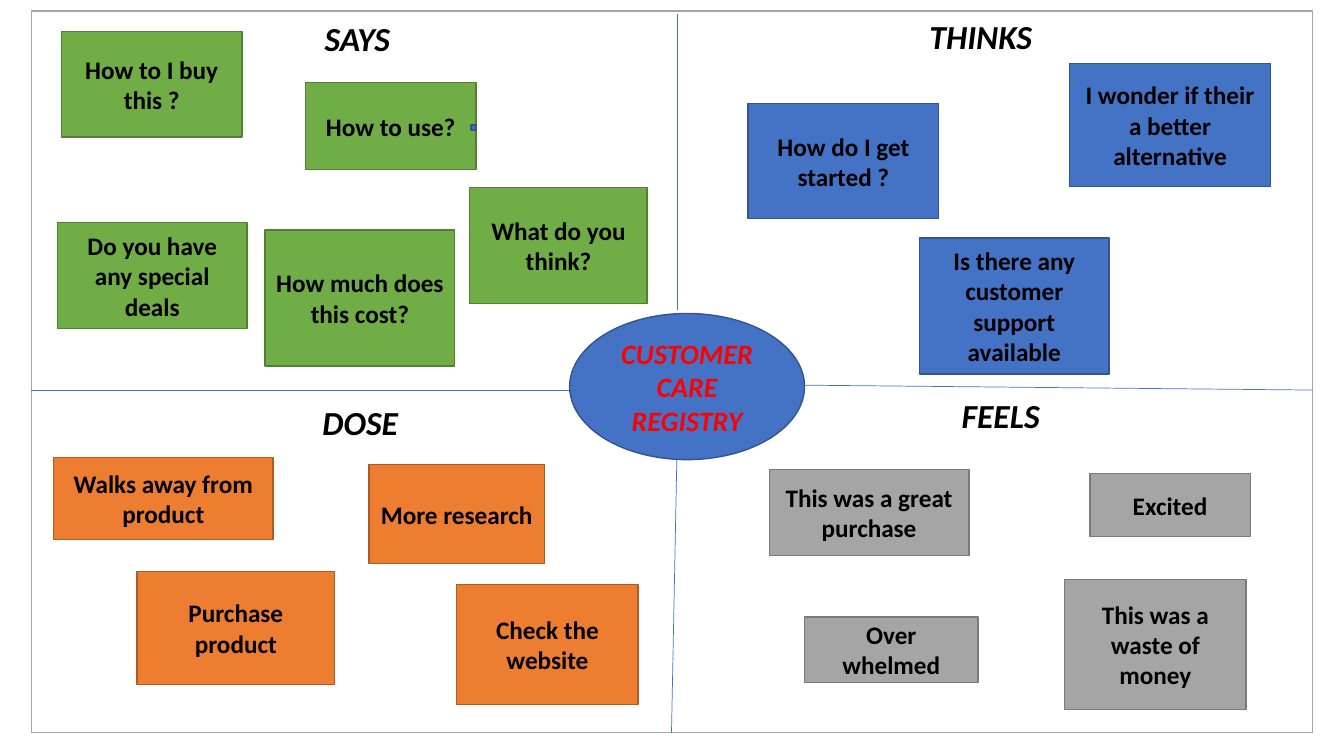
from dataclasses import dataclass

from lxml.etree import SubElement
from pptx import Presentation
from pptx.dml.color import RGBColor
from pptx.enum.shapes import MSO_CONNECTOR as Connector, MSO_SHAPE as Preset
from pptx.enum.text import MSO_ANCHOR as Anchor, MSO_AUTO_SIZE as AutoSize, PP_ALIGN as Align
from pptx.oxml.ns import qn
from pptx.shapes.autoshape import Shape
from pptx.util import Emu, Inches, Pt

COLUMNS, ROWS = 133.3, 75
CELL = Inches(0.1)
FONT = "Calibri"
COLORS = {
    "white": "FFFFFF", "black": "000000", "red": "FF0000",
    "green": "70AD47", "green edge": "538035",
    "blue": "4472C4", "blue edge": "325491",
    "orange": "ED7D31", "orange edge": "AF5C24",
    "gray": "A5A5A5", "gray edge": "7A7A7A",
}


@dataclass(frozen=True)
class Area:
    """A region of the slide in grid columns and rows."""
    column: float
    row: float
    width: float
    height: float

    def lengths(self) -> list[Emu]:
        """Return left, top, width and height as slide lengths."""
        return [cells(n) for n in (self.column, self.row, self.width, self.height)]


@dataclass(frozen=True)
class Note:
    """A sticky note with one remark of the customer."""
    remark: str
    area: Area


@dataclass(frozen=True)
class Quadrant:
    """One side of the empathy map: heading, colour and notes."""
    heading: str
    heading_area: Area
    color: str
    notes: tuple[Note, ...]


@dataclass(frozen=True)
class Divider:
    """A line between two grid points."""
    start: tuple[float, float]
    end: tuple[float, float]


QUADRANTS = (
    Quadrant("SAYS", Area(31.2, 1.3, 16.8, 5), "green", (
        Note("How to I buy this ?", Area(6.1, 3.1, 17.9, 10.5)),
        Note("How to use?", Area(30.3, 8.2, 16.9, 8.6)),
        Note("Do you have any special deals", Area(5.7, 22.1, 18.8, 10.5)),
        Note("How much does this cost?", Area(26.3, 22.8, 18.8, 13.5)),
        Note("What do you think?", Area(46.6, 18.6, 17.6, 11.5)),
    )),
    Quadrant("THINKS", Area(91.2, 1.1, 22.9, 5), "blue", (
        Note("How do I get started ?", Area(74.2, 10.3, 18.9, 11.4)),
        Note("I wonder if their a better alternative", Area(106.1, 6.3, 19.9, 12.2)),
        Note("Is there any customer support available", Area(91.2, 23.6, 18.8, 13.5)),
    )),
    Quadrant("DOSE", Area(31, 39.4, 13.6, 5), "orange", (
        Note("Walks away from product", Area(5.3, 45.4, 21.8, 8.1)),
        Note("Purchase product", Area(13.6, 56.7, 19.6, 11.2)),
        Note("Check the website", Area(45.3, 58, 18, 11.9)),
        Note("More research", Area(36.6, 46.1, 17.4, 9.8)),
    )),
    Quadrant("FEELS", Area(94.4, 38.7, 13.7, 5), "gray", (
        Note("This was a great purchase", Area(76.3, 46.6, 19.8, 8.5)),
        Note("Excited", Area(108.1, 47, 15.9, 6.2)),
        Note("Over whelmed", Area(79.8, 61.2, 17.2, 6.5)),
        Note("This was a waste of money", Area(105.6, 57.5, 18, 12.9)),
    )),
)
DIVIDERS = (
    Divider((67.2, 1.4), (67.2, 30.8)),
    Divider((3.1, 38.7), (57.5, 38.7)),
    Divider((66.6, 72.7), (67.2, 42.1)),
    Divider((78.3, 38.2), (130.2, 38.7)),
)
FRAME = Area(3.1, 1.1, 127.1, 71.6)
HUB = Area(56.5, 31.1, 23.3, 14.5)
MARK = Area(46.7, 12.4, 0.5, 0.5)


def cells(count: float) -> Emu:
    """Turn a number of grid cells into a length."""
    return Emu(round(count * CELL))


def rgb(name: str) -> RGBColor:
    """Look up a colour by name."""
    return RGBColor.from_string(COLORS[name])


def write(holder: Shape, words: str, size: int, color: str = "black",
          italic: bool = False, align: Align = Align.CENTER) -> None:
    """Put one bold paragraph into a shape or text box."""
    frame = holder.text_frame
    frame.word_wrap = True
    frame.text = words
    paragraph = frame.paragraphs[0]
    paragraph.alignment = align
    font = paragraph.font
    font.name, font.size, font.bold, font.italic = FONT, Pt(size), True, italic
    font.color.rgb = rgb(color)


def draw_block(area: Area, fill: str, edge: str, preset: Preset = Preset.RECTANGLE) -> Shape:
    """Draw a filled, outlined shape without shadow."""
    block = slide.shapes.add_shape(preset, *area.lengths())
    block.shadow.inherit = False
    block.fill.solid()
    block.fill.fore_color.rgb = rgb(fill)
    block.line.color.rgb = rgb(edge)
    block.line.width = Pt(1)
    block.text_frame.vertical_anchor = Anchor.MIDDLE
    return block


def draw_divider(divider: Divider) -> None:
    """Draw a thin line between quadrants."""
    points = [cells(n) for n in (*divider.start, *divider.end)]
    rule = slide.shapes.add_connector(Connector.STRAIGHT, *points)
    rule.line.color.rgb = rgb("blue")
    rule.line.width = Pt(0.5)
    SubElement(rule._element.spPr, qn("a:effectLst"))


def draw_quadrant(quadrant: Quadrant) -> None:
    """Draw the heading and the notes of one quadrant."""
    heading = slide.shapes.add_textbox(*quadrant.heading_area.lengths())
    write(heading, quadrant.heading, 24, italic=True, align=Align.LEFT)
    heading.text_frame.auto_size = AutoSize.SHAPE_TO_FIT_TEXT
    for note in quadrant.notes:
        block = draw_block(note.area, quadrant.color, f"{quadrant.color} edge")
        write(block, note.remark, 18)


deck = Presentation()
deck.slide_width, deck.slide_height = cells(COLUMNS), cells(ROWS)
slide = deck.slides.add_slide(deck.slide_layouts[6])

draw_block(FRAME, "white", "gray")
for divider in DIVIDERS:
    draw_divider(divider)
for quadrant in QUADRANTS:
    draw_quadrant(quadrant)
draw_block(MARK, "blue", "blue edge")
hub = draw_block(HUB, "blue", "blue edge", Preset.OVAL)
write(hub, "CUSTOMER CARE REGISTRY", 20, "red", italic=True)

deck.save("out.pptx")
